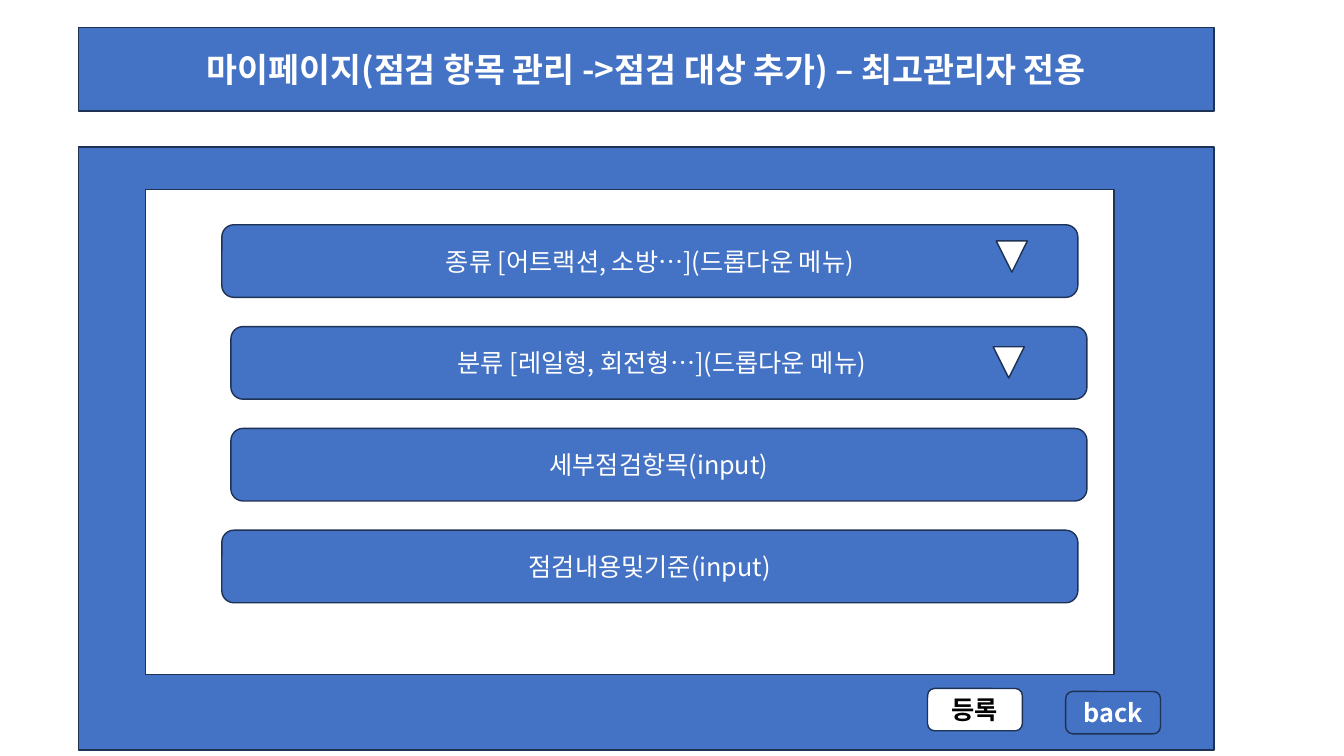
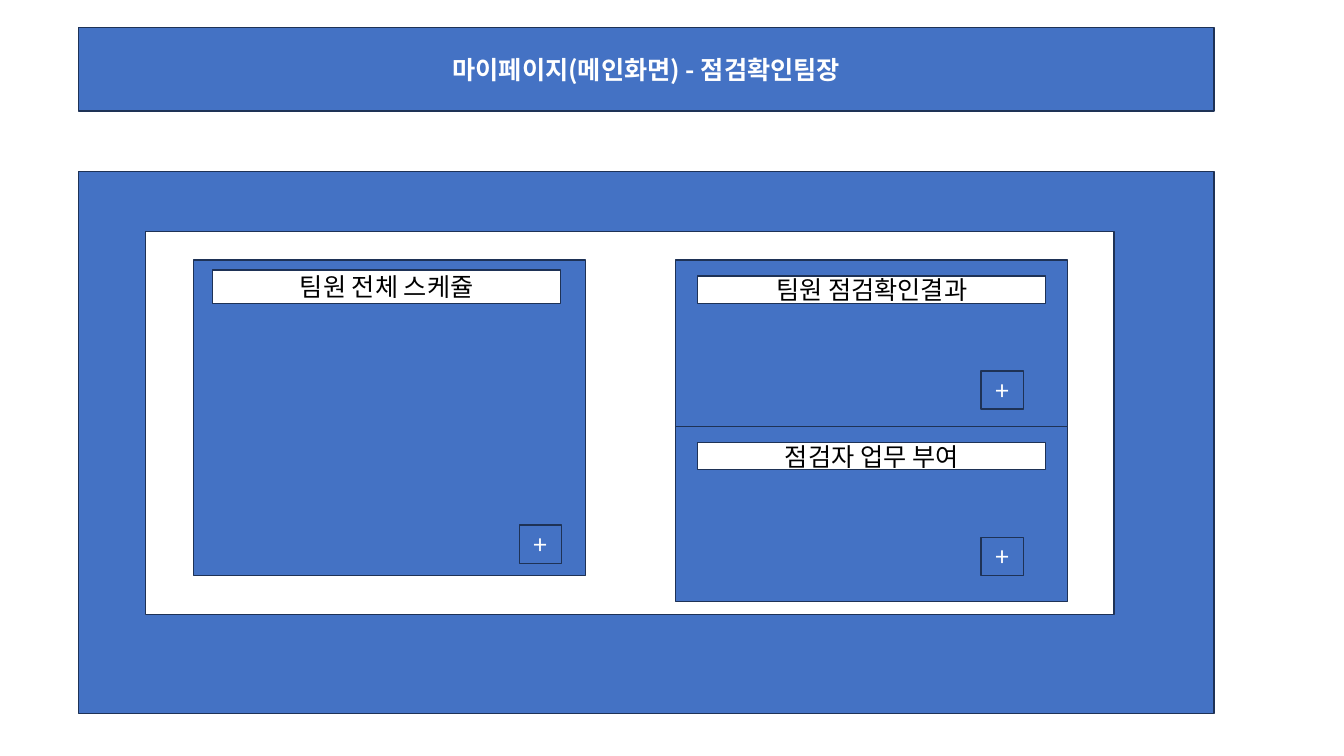
from dataclasses import dataclass

import lxml.etree
import pptx
import pptx.dml.color
import pptx.enum.shapes
import pptx.enum.text
import pptx.oxml.ns
import pptx.util

Inches = pptx.util.Inches
MSO = pptx.enum.shapes.MSO_SHAPE


@dataclass(frozen=True)
class Theme:
    font: str = "Noto Sans CJK KR"
    blue: str = "4472C4"
    white: str = "FFFFFF"
    black: str = "000000"
    border: str = "1E3256"
    border_pt: float = 1
    heading_pt: float = 24
    text_pt: float = 18


@dataclass(frozen=True)
class Box:
    x: float
    y: float
    w: float
    h: float

    def inner(self, dx, dy, w, h):
        return Box(self.x + dx, self.y + dy, w, h)


THEME = Theme()
BANNER = Box(0.78, 0.27, 11.26, 0.83)


def rgb(value):
    return pptx.dml.color.RGBColor.from_string(value)


def paint(sp, fill):
    sp.fill.solid()
    sp.fill.fore_color.rgb = rgb(fill)
    sp.line.color.rgb = rgb(THEME.border)
    sp.line.width = pptx.util.Pt(THEME.border_pt)


def write(sp, text, color, size=THEME.text_pt, bold=False):
    tf = sp.text_frame
    tf.word_wrap = True
    tf.auto_size = pptx.enum.text.MSO_AUTO_SIZE.NONE
    tf.vertical_anchor = pptx.enum.text.MSO_ANCHOR.MIDDLE
    p = tf.paragraphs[0]
    p.alignment = pptx.enum.text.PP_ALIGN.CENTER
    r = p.add_run()
    r.text = text
    r.font.name = THEME.font
    r.font.size = pptx.util.Pt(size)
    r.font.bold = bold
    r.font.color.rgb = rgb(color)
    ea = lxml.etree.SubElement(r.font._element, pptx.oxml.ns.qn("a:ea"))
    ea.set("typeface", THEME.font)


def add_block(s, box, fill=THEME.blue, text="", kind=MSO.RECTANGLE, bold=False):
    sp = s.shapes.add_shape(kind, Inches(box.x), Inches(box.y), Inches(box.w), Inches(box.h))
    sp.shadow.inherit = False
    paint(sp, fill)
    if text:
        color = THEME.black if fill == THEME.white else THEME.white
        write(sp, text, color, bold=bold)
    return sp


def add_banner(s, box, text, size):
    sp = s.shapes.title
    sp.left, sp.top = Inches(box.x), Inches(box.y)
    sp.width, sp.height = Inches(box.w), Inches(box.h)
    paint(sp, THEME.blue)
    write(sp, text, THEME.white, size, bold=True)


def add_page(prs, title, size, panel, screen):
    s = prs.slides.add_slide(prs.slide_layouts[5])
    add_banner(s, BANNER, title, size)
    add_block(s, panel)
    add_block(s, screen, THEME.white)
    return s


def add_field(s, box, text, arrow=None):
    add_block(s, box, text=text, kind=MSO.ROUNDED_RECTANGLE)
    if arrow:
        sp = add_block(s, box.inner(*arrow, 0.31, 0.31), THEME.white, kind=MSO.ISOSCELES_TRIANGLE)
        sp.rotation = 180


def add_card(s, box, text, label, plus):
    add_block(s, box)
    dx, dy, height = label
    add_block(s, box.inner(dx, dy, 3.45, height), THEME.white, text)
    add_block(s, box.inner(*plus, 0.42, 0.38), text="+")


def form_slide(prs):
    panel = Box(0.78, 1.46, 11.26, 5.98)
    screen = panel.inner(0.66, 0.42, 9.61, 4.81)
    s = add_page(prs, "마이페이지(점검 항목 관리 ->점검 대상 추가) – 최고관리자 전용",
                 THEME.heading_pt, panel, screen)
    fields = [
        (0.76, "종류 [어트랙션, 소방…](드롭다운 메뉴)", (7.68, 0.16)),
        (0.85, " 분류 [레일형, 회전형…](드롭다운 메뉴)", (7.56, 0.2)),
        (0.85, "세부점검항목(input)", None),
        (0.76, "점검내용및기준(input)", None),
    ]
    for i, (dx, text, arrow) in enumerate(fields):
        add_field(s, screen.inner(dx, 0.35 + 1.01 * i, 8.49, 0.72), text, arrow)
    buttons = [(8.42, 5.37, THEME.white, "등록"), (9.79, 5.4, THEME.blue, "back")]
    for dx, dy, fill, text in buttons:
        add_block(s, panel.inner(dx, dy, 0.94, 0.42), fill, text, MSO.ROUNDED_RECTANGLE, bold=True)


def dashboard_slide(prs):
    panel = Box(0.78, 1.7, 11.26, 5.38)
    screen = panel.inner(0.66, 0.6, 9.61, 3.8)
    s = add_page(prs, "마이페이지(메인화면) - 점검확인팀장", THEME.text_pt, panel, screen)
    add_card(s, screen.inner(0.48, 0.28, 3.89, 3.13), "팀원 전체 스케쥴",
             (0.19, 0.1, 0.33), (3.23, 2.63))
    for i, text in enumerate(["팀원 점검확인결과", "점검자 업무 부여"]):
        add_card(s, screen.inner(5.26, 0.28 + 1.65 * i, 3.89, 1.74), text,
                 (0.22, 0.16, 0.27), (3.03, 1.1))


def main():
    prs = pptx.Presentation()
    prs.slide_width, prs.slide_height = Inches(13.33), Inches(7.5)
    form_slide(prs)
    dashboard_slide(prs)
    prs.save("out.pptx")


if __name__ == "__main__":
    main()
